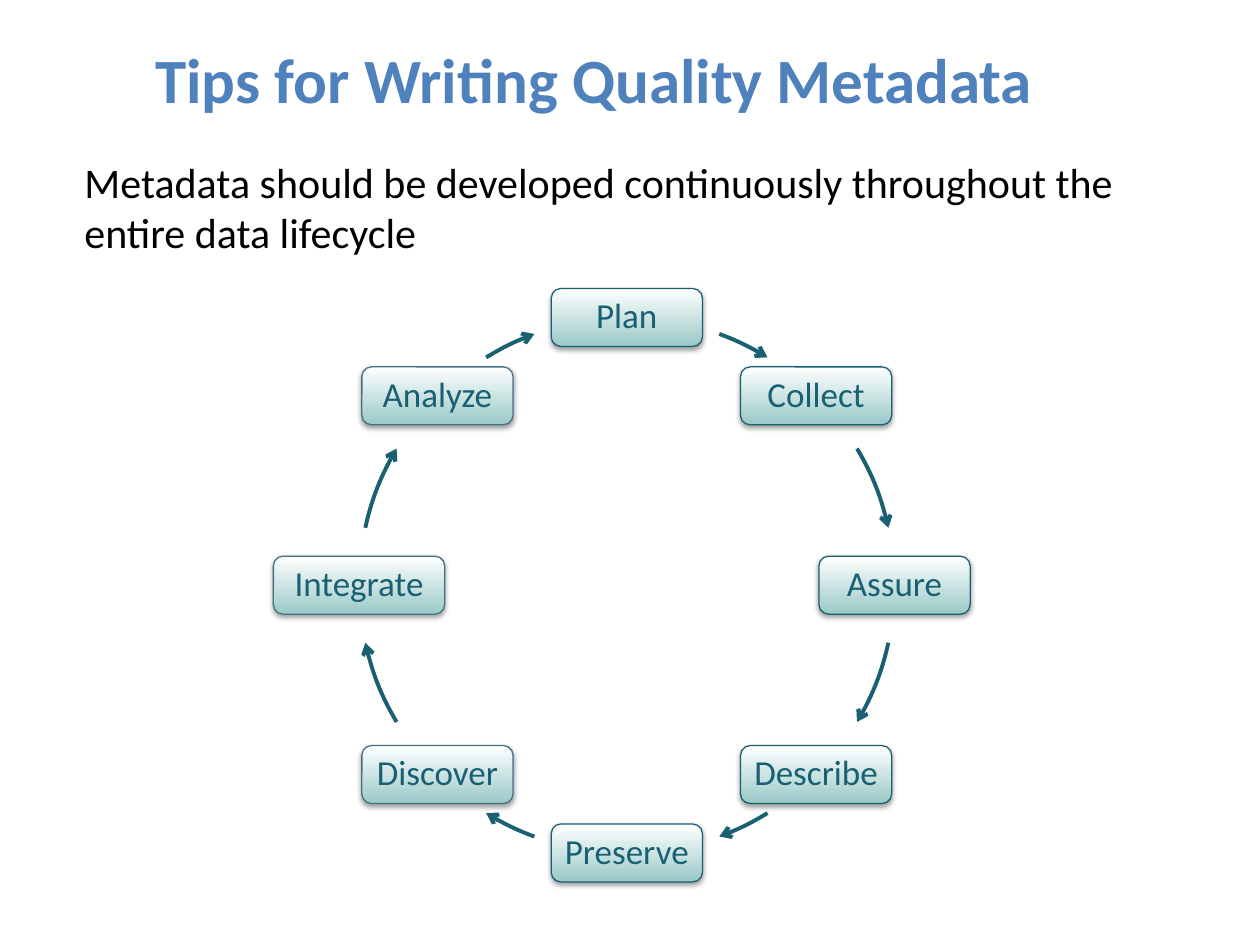
from math import cos, radians, sin

from lxml import etree
from pptx import Presentation
from pptx.dml.color import RGBColor
from pptx.enum.shapes import MSO_SHAPE
from pptx.enum.text import MSO_ANCHOR, MSO_AUTO_SIZE, PP_ALIGN
from pptx.oxml.ns import qn
from pptx.util import Inches, Pt

BOX, ARC = MSO_SHAPE.ROUNDED_RECTANGLE, MSO_SHAPE.ARC
CENTER, LEFT = PP_ALIGN.CENTER, PP_ALIGN.LEFT
MIDDLE, TOP = MSO_ANCHOR.MIDDLE, MSO_ANCHOR.TOP

THEME = {
    "font": "Calibri",
    "title": {"size": Pt(36), "bold": True, "color": "4F81BD"},
    "body": {"size": Pt(24), "bold": False, "color": "000000"},
    "step": {"size": Pt(20), "bold": False, "color": "186072"},
    "fade": ("FFFFFF", "99C9C7"),
    "edge": "186072",
    "soft": "457184",
    "shade": "000000",
}

# Wheel of steps, clockwise from the top
RING_X, RING_Y, RING = 2.85, 2.52, 4.25
RADIUS = RING / 2
MID_X, MID_Y = RING_X + RADIUS, RING_Y + RADIUS
WIDE, HIGH = 1.2, 0.46
STEPS = ["Plan", "Collect", "Assure", "Describe",
         "Preserve", "Discover", "Integrate", "Analyze"]
# Arrow spans in degrees from the top; the left half repeats the right
SPANS = [(20.2, 31.7), (59.3, 77.6), (102.4, 120.7), (148.3, 159.8)]


def put(frame, lines, style, align, anchor):
    """Fill a text frame with one formatted paragraph per line."""
    frame.text = "\n".join(lines)
    frame.word_wrap = True
    frame.auto_size = MSO_AUTO_SIZE.NONE
    frame.vertical_anchor = anchor
    for para in frame.paragraphs:
        para.alignment = align
        para.space_before = Pt(0)
        for name in ("size", "bold"):
            setattr(para.font, name, style[name])
        para.font.name = THEME["font"]
        para.font.color.rgb = RGBColor.from_string(style["color"])


def add(parent, tag, **attrs):
    return etree.SubElement(parent, qn(tag), attrs)


deck = Presentation()
deck.slide_width, deck.slide_height = Inches(10), Inches(7.5)
slide = deck.slides.add_slide(deck.slide_layouts[1])
title, body = slide.placeholders

places = [(title, (0, 0, 9.43, 1.25)), (body, (0.57, 1.19, 9.25, 1.12))]
for shape, spot in places:
    for name, value in zip(("left", "top", "width", "height"), spot):
        setattr(shape, name, Inches(value))

# Bullets are turned off before the fonts are set
body.text_frame.text = ""
put(title.text_frame, ["Tips for Writing Quality Metadata"],
    THEME["title"], CENTER, MIDDLE)
put(body.text_frame,
    ["Metadata should be developed continuously throughout the",
     "entire data lifecycle"],
    THEME["body"], LEFT, TOP)
for para in body.text_frame.paragraphs:
    props = para._p.get_or_add_pPr()
    props.set("marL", "0")
    props.set("indent", "0")
    props.insert_element_before(
        etree.Element(qn("a:buNone")), "a:tabLst", "a:defRPr", "a:extLst")

for i, step in enumerate(STEPS):
    turn = radians(45 * i)
    x = MID_X + RADIUS * sin(turn)
    y = MID_Y - RADIUS * cos(turn)
    wide = 1.36 if step == "Integrate" else WIDE
    box = slide.shapes.add_shape(
        BOX, Inches(x - wide / 2), Inches(y - HIGH / 2),
        Inches(wide), Inches(HIGH))
    box.fill.gradient()
    box.fill.gradient_angle = 270
    for stop, color in zip(box.fill.gradient_stops, THEME["fade"]):
        stop.color.rgb = RGBColor.from_string(color)
    edge = THEME["soft"] if i > 4 else THEME["edge"]
    box.line.color.rgb = RGBColor.from_string(edge)
    box.line.width = Pt(0.75)
    box.shadow.inherit = False
    glow = add(box._element.spPr.find(qn("a:effectLst")), "a:outerShdw",
               blurRad=str(Pt(3.1)), dist=str(Pt(1.6)),
               dir="5400000", rotWithShape="0")
    add(add(glow, "a:srgbClr", val=THEME["shade"]), "a:alpha", val="38000")

    frame = box.text_frame
    for side in ("left", "top", "right", "bottom"):
        setattr(frame, f"margin_{side}", Inches(0.08))
    put(frame, [step], THEME["step"], CENTER, MIDDLE)
    frame.paragraphs[0].line_spacing = 0.9

    arc = slide.shapes.add_shape(
        ARC, Inches(RING_X), Inches(RING_Y), Inches(RING), Inches(RING))
    # Arc angles start at the right and count 60,000 units to a degree
    for k, angle in enumerate(SPANS[i % 4]):
        degrees = (angle + 180 * (i // 4) - 90) % 360
        arc.adjustments[k] = degrees * 0.6
    arc.fill.background()
    arc.shadow.inherit = False
    arc.line.color.rgb = RGBColor.from_string(THEME["edge"])
    arc.line.width = Pt(2.25)
    add(arc.line._get_or_add_ln(), "a:tailEnd", type="arrow")

deck.save("out.pptx")
